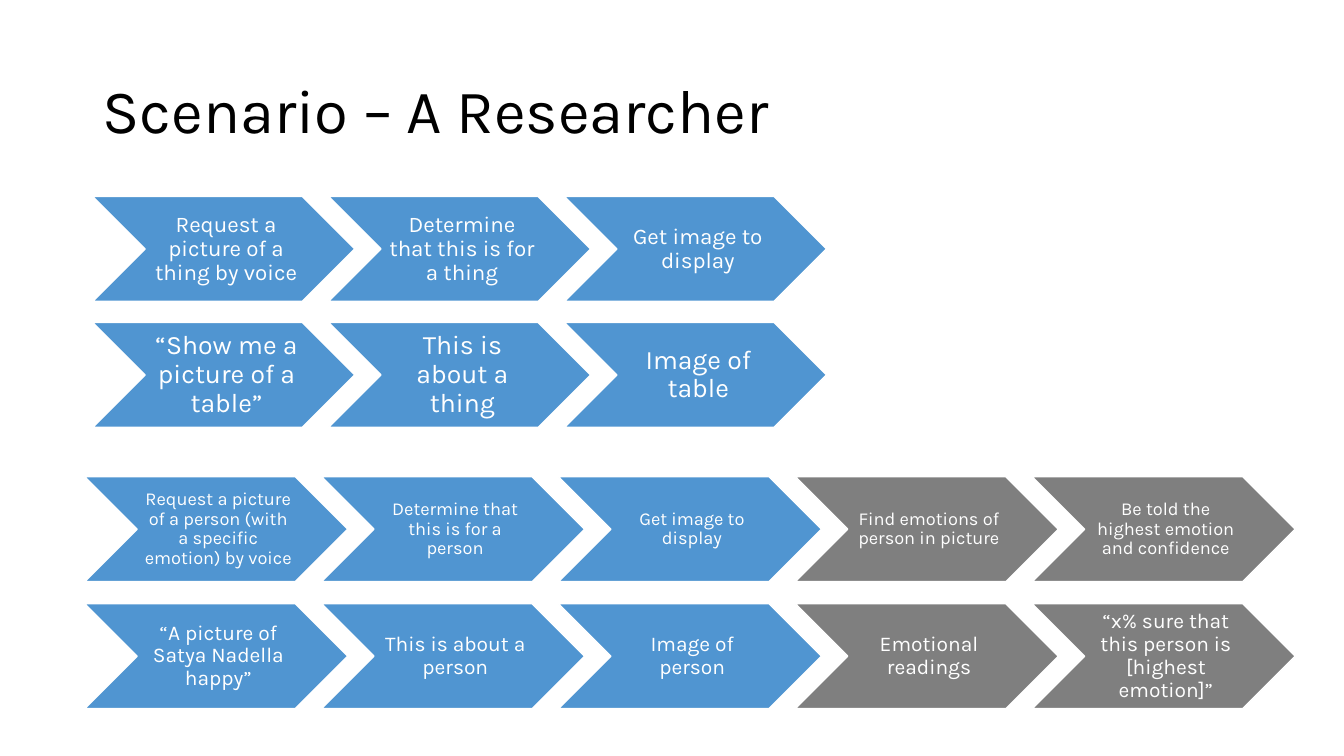
"""Build the researcher scenario slide with its four rows of process chevrons."""
import dataclasses

import pptx
import pptx.dml.color
import pptx.enum.shapes
import pptx.enum.text
import pptx.shapes.autoshape
import pptx.slide
import pptx.text.text
import pptx.util

FONT = "Karla"
BLACK, WHITE, BLUE, GRAY = "000000", "FFFFFF", "5095D1", "7F7F7F"
CHEVRON_HEIGHT = 74.88
BLUE_STEPS = 3
LEFT_INSET_RATIO, INSET_RATIO = 0.315, 0.105


@dataclasses.dataclass(frozen=True)
class Track:
    left: float
    pitch: float
    width: float


@dataclasses.dataclass(frozen=True)
class ProcessRow:
    track: Track
    top: float
    font_size: float
    steps: tuple[str, ...]


THING = Track(66.24, 168.48, 187.2)
PERSON = Track(60.48, 169.2, 187.92)

ROWS = (
    ProcessRow(THING, 140.4, 16, (
        "Request a picture of a thing by voice",
        "Determine that this is for a thing",
        "Get image to display",
    )),
    ProcessRow(THING, 230.4, 19, (
        "“Show me a picture of a table”",
        "This is about a thing",
        "Image of table",
    )),
    ProcessRow(PERSON, 340.56, 13, (
        "Request a picture of a person (with a specific emotion) by voice",
        "Determine that this is for a person",
        "Get image to display",
        "Find emotions of person in picture",
        "Be told the highest emotion and confidence",
    )),
    ProcessRow(PERSON, 431.28, 15, (
        "“A picture of Satya Nadella happy”",
        "This is about a person",
        "Image of person",
        "Emotional readings",
        "“x% sure that this person is [highest emotion]”",
    )),
)


def color(value: str) -> pptx.dml.color.RGBColor:
    return pptx.dml.color.RGBColor.from_string(value)


def write(frame: pptx.text.text.TextFrame, text: str, size: float, ink: str,
          alignment: pptx.enum.text.PP_ALIGN) -> None:
    frame.word_wrap = True
    frame.vertical_anchor = pptx.enum.text.MSO_ANCHOR.MIDDLE
    paragraph = frame.paragraphs[0]
    paragraph.alignment = alignment
    paragraph.line_spacing = 0.9
    run = paragraph.add_run()
    run.text = text
    run.font.name = FONT
    run.font.size = pptx.util.Pt(size)
    run.font.color.rgb = color(ink)


def draw_title(slide: pptx.slide.Slide, text: str) -> None:
    title = slide.shapes.add_textbox(
        pptx.util.Pt(66.24), pptx.util.Pt(28.8),
        pptx.util.Pt(828), pptx.util.Pt(104.4))
    write(title.text_frame, text, 44, BLACK, pptx.enum.text.PP_ALIGN.LEFT)


def draw_row(slide: pptx.slide.Slide, row: ProcessRow) -> None:
    for index, text in enumerate(row.steps):
        step = slide.shapes.add_shape(
            pptx.enum.shapes.MSO_SHAPE.CHEVRON,
            pptx.util.Pt(row.track.left + index * row.track.pitch),
            pptx.util.Pt(row.top),
            pptx.util.Pt(row.track.width),
            pptx.util.Pt(CHEVRON_HEIGHT))
        step.shadow.inherit = False
        step.fill.solid()
        step.fill.fore_color.rgb = color(BLUE if index < BLUE_STEPS else GRAY)
        step.line.color.rgb = color(WHITE)
        step.line.width = pptx.util.Pt(1)
        frame = step.text_frame
        inset = pptx.util.Pt(row.font_size * INSET_RATIO)
        frame.margin_left = pptx.util.Pt(row.font_size * LEFT_INSET_RATIO)
        frame.margin_top = frame.margin_right = frame.margin_bottom = inset
        write(frame, text, row.font_size, WHITE, pptx.enum.text.PP_ALIGN.CENTER)


def main() -> None:
    deck = pptx.Presentation()
    deck.slide_width = pptx.util.Pt(960)
    deck.slide_height = pptx.util.Pt(540)
    slide = deck.slides.add_slide(deck.slide_layouts[6])
    draw_title(slide, "Scenario – A Researcher")
    for row in ROWS:
        draw_row(slide, row)
    deck.save("out.pptx")


if __name__ == "__main__":
    main()
